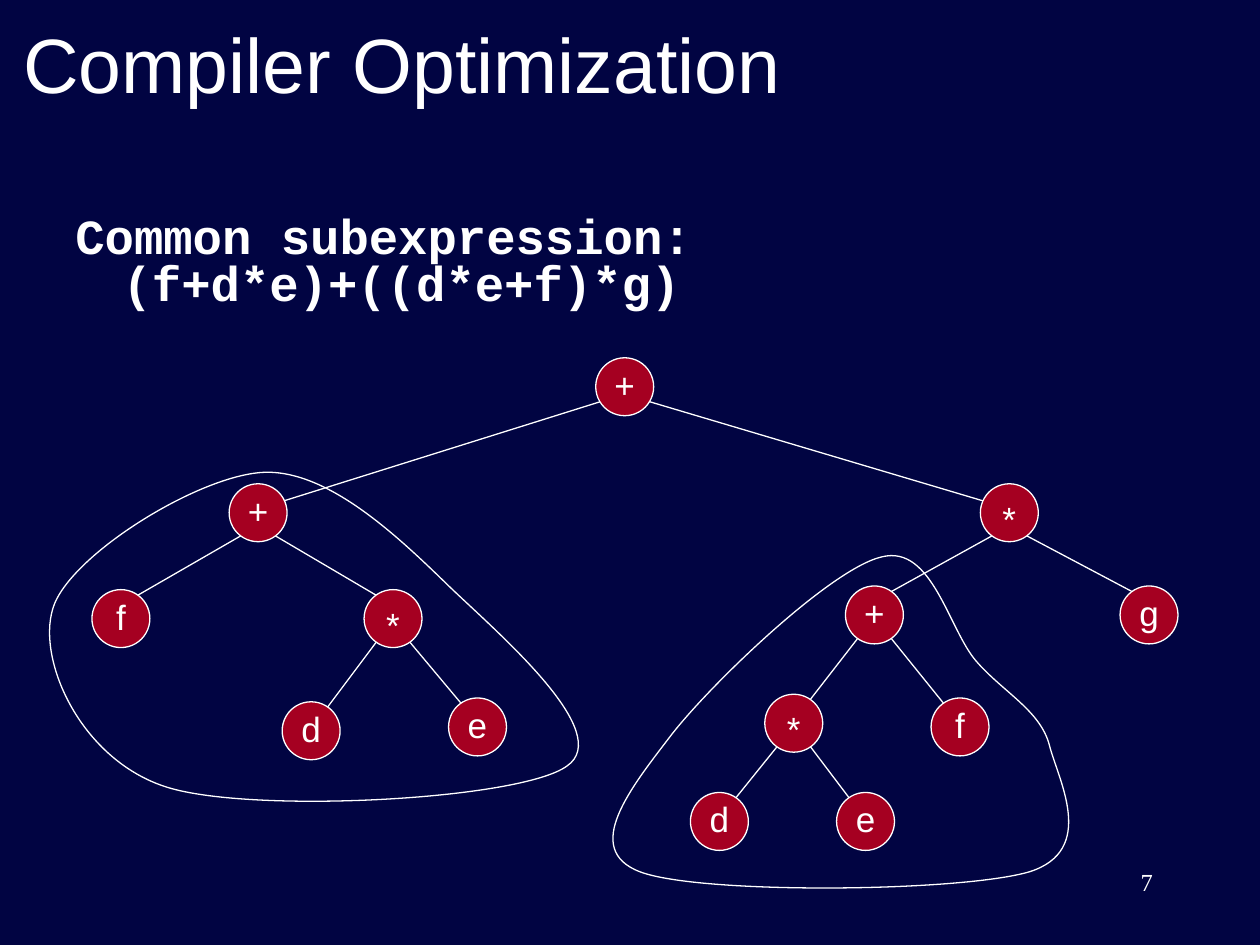
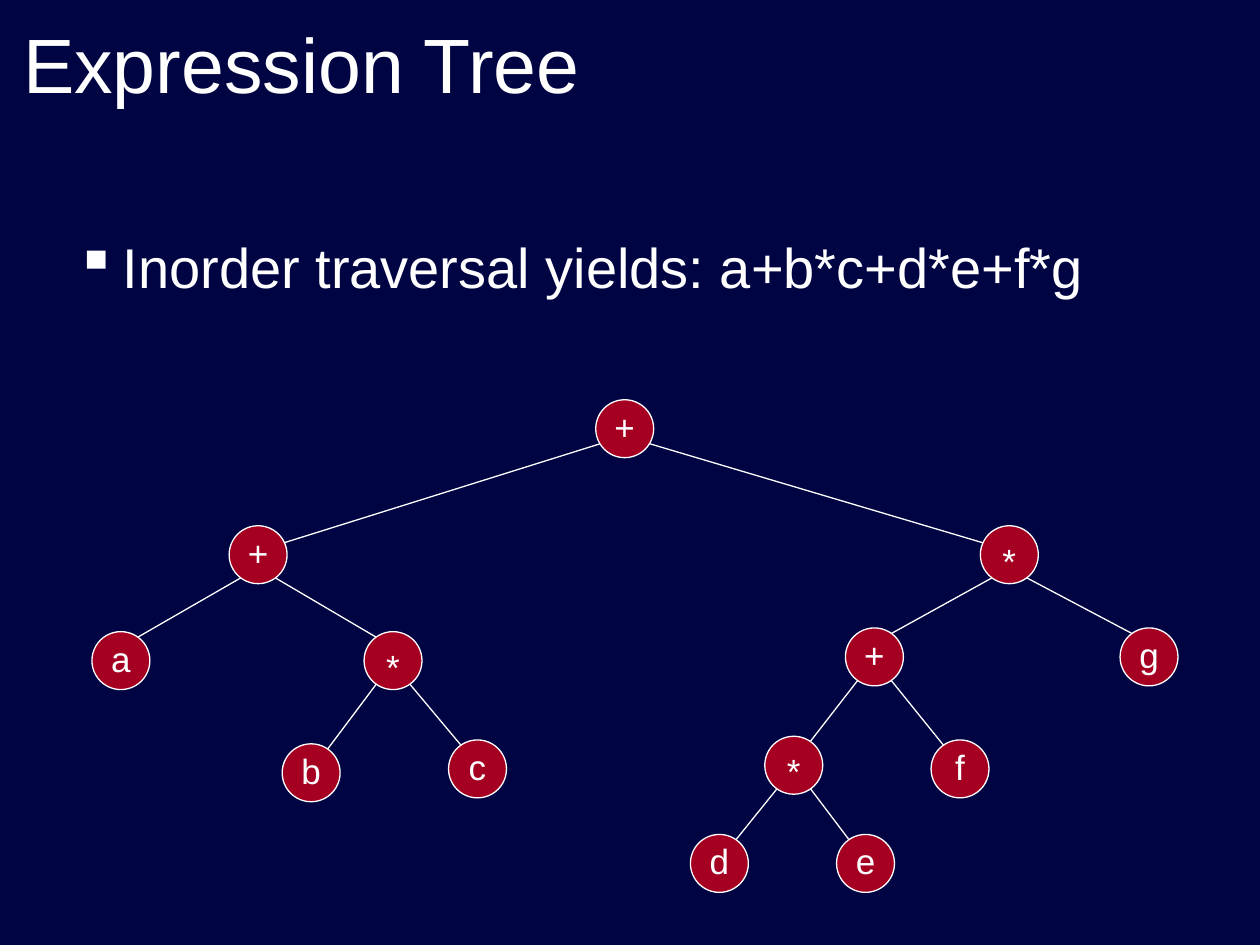
"""Build two slides that show expression trees."""
from lxml import etree
from pptx import Presentation
from pptx.dml.color import RGBColor
from pptx.enum.shapes import MSO_CONNECTOR, MSO_SHAPE
from pptx.enum.text import MSO_ANCHOR, MSO_AUTO_SIZE, PP_ALIGN
from pptx.oxml.ns import qn
from pptx.util import Pt

LEFT, MID, RIGHT = PP_ALIGN.LEFT, PP_ALIGN.CENTER, PP_ALIGN.RIGHT
TOP, CORE = MSO_ANCHOR.TOP, MSO_ANCHOR.MIDDLE
FIXED = MSO_AUTO_SIZE.NONE
OVAL, LINE = MSO_SHAPE.OVAL, MSO_CONNECTOR.STRAIGHT

COLORS = {"back": "010442", "ink": "FFFFFF", "node": "A50021"}
FONTS = {
    "title": {"name": "Arial", "size": Pt(44)},
    "code": {"name": "Courier New", "size": Pt(28), "bold": True},
    "body": {"name": "Arial", "size": Pt(32)},
    "node": {"name": "Arial", "size": Pt(20)},
    "page": {"name": "Times New Roman", "size": Pt(14)},
}
SIZE = 33.1
INDENT = 27

SPOTS = [
    (357, 221, None),
    (147.5, 293, 0), (576.8, 293, 0),
    (69.1, 353.5, 1), (224.6, 353.5, 1),
    (499.7, 351.4, 2), (656.6, 351.4, 2),
    (177.8, 417.6, 4), (272.9, 415.4, 4),
    (453.6, 413.3, 5), (548.6, 415.4, 5),
    (411.1, 469.4, 9), (494.6, 469.4, 9),
]

LOOPS = [
    [(150, 270),
     (112.3, 272.2), (38.9, 318.2), (30.2, 347.8),
     (20.9, 378), (46.8, 434.9), (95.8, 450),
     (144.7, 465.1), (297.4, 457.2), (324, 437.8),
     (351.4, 419), (285.8, 362.9), (257.8, 336.2),
     (229.7, 308.9), (187.9, 267.8), (150, 270)],
    [(504, 318.2),
     (475.2, 324.7), (406.8, 390.2), (383.8, 419.8),
     (360.7, 450), (331.9, 485.3), (365.8, 498.2),
     (400.3, 511.2), (548.6, 509.8), (588.2, 498.2),
     (627.1, 486), (604.8, 445.7), (599.8, 426.2),
     (594.7, 406.1), (573.8, 396), (558, 378),
     (542.2, 360), (532.8, 311), (504, 318.2)],
]


def color(key):
    return RGBColor.from_string(COLORS[key])


class Deck:
    """Hold the style and the current slide."""

    def __init__(self):
        self.prs = Presentation()
        self.prs.slide_width, self.prs.slide_height = Pt(720), Pt(540)
        fill = self.prs.slide_master.background.fill
        fill.solid()
        fill.fore_color.rgb = color("back")

    def start(self, title):
        self.slide = self.prs.slides.add_slide(self.prs.slide_layouts[5])
        self.shapes = self.slide.shapes
        head = self.shapes.title
        self.place(head, 6, 0, 648, 72)
        self.text(head, title, "title", anchor=CORE)

    def place(self, shape, *box):
        for name, value in zip(("left", "top", "width", "height"), box):
            setattr(shape, name, Pt(value))

    def text(self, shape, words, font, align=LEFT, anchor=TOP, wrap=True,
             pad=(7.2, 3.6, 7.2, 3.6)):
        frame = shape.text_frame
        frame.word_wrap, frame.auto_size = wrap, FIXED
        frame.vertical_anchor = anchor
        for side, value in zip(("left", "top", "right", "bottom"), pad):
            setattr(frame, f"margin_{side}", Pt(value))
        para = frame.paragraphs[0]
        para.text = words
        para.alignment = align
        for run in para.runs:
            for name, value in FONTS[font].items():
                setattr(run.font, name, value)
            run.font.color.rgb = color("ink")
        return para

    def label(self, words, font, box, **form):
        shape = self.shapes.add_textbox(*map(Pt, box))
        return self.text(shape, words, font, **form)

    def hang(self, para, mark=None):
        props = para._p.get_or_add_pPr()
        props.set("marL", str(Pt(INDENT)))
        props.set("indent", str(Pt(-INDENT)))
        if mark:
            tint = etree.SubElement(props, qn("a:buClr"))
            etree.SubElement(tint, qn("a:srgbClr"), val=COLORS["ink"])
            etree.SubElement(props, qn("a:buChar"), char=mark)
        else:
            etree.SubElement(props, qn("a:buNone"))

    def stroke(self, shape):
        shape.line.color.rgb = color("ink")
        shape.line.width = Pt(0.75)

    def link(self, *ends):
        line = self.shapes.add_connector(LINE, *map(Pt, ends))
        self.stroke(line)
        etree.SubElement(line.element.spPr, qn("a:effectLst"))

    def node(self, mark, x, y):
        box = (x - SIZE / 2, y - SIZE / 2, SIZE, SIZE)
        shape = self.shapes.add_shape(OVAL, *map(Pt, box))
        shape.shadow.inherit = False
        shape.fill.solid()
        shape.fill.fore_color.rgb = color("node")
        self.stroke(shape)
        pad = (0, 6.4, 0, 0) if mark == "*" else (0, 0, 0, 2.8)
        self.text(shape, mark, "node", MID, CORE, False, pad)

    def tree(self, marks, drop=0):
        for x, y, above in SPOTS[1:]:
            px, py, top = SPOTS[above]
            side = 1 if x > px else -1
            low, high = (7, 5) if top is None else (12.7, 13)
            self.link(px + 9 * side, py + low + drop,
                      x - 9 * side, y - high + drop)
        for mark, (x, y, _) in zip(marks, SPOTS):
            self.node(mark, x, y + drop)

    def loop(self, points):
        first, *rest = [(Pt(x), Pt(y)) for x, y in points]
        pen = self.shapes.build_freeform(*first)
        pen.add_line_segments(rest, close=True)
        shape = pen.convert_to_shape()
        shape.shadow.inherit = False
        shape.fill.background()
        self.stroke(shape)
        steps = list(shape.element.iter(qn("a:lnTo")))
        for one, two, end in zip(steps[::3], steps[1::3], steps[2::3]):
            curve = etree.Element(qn("a:cubicBezTo"))
            one.addprevious(curve)
            for step in (one, two, end):
                curve.append(step[0])
                step.getparent().remove(step)


def main():
    deck = Deck()

    deck.start("Compiler Optimization")
    para = deck.label("Common subexpression:\n(f+d*e)+((d*e+f)*g)", "code",
                      (36, 114, 672.5, 66), pad=(7.2, 9.8, 7.2, 3.6))
    deck.hang(para)
    para.line_spacing = 0.8
    deck.tree("++*f*+gde*fde")
    for points in LOOPS:
        deck.loop(points)
    deck.label("7", "page", (516, 492, 150, 36), align=RIGHT)

    deck.start("Expression Tree")
    para = deck.label("Inorder traversal yields: a+b*c+d*e+f*g", "body",
                      (36, 126, 648, 66), pad=(7.2, 6.8, 7.2, 3.6))
    deck.hang(para, "▪")
    deck.tree("++*a*+gbc*fde", drop=24)

    deck.prs.save("out.pptx")


if __name__ == "__main__":
    main()
